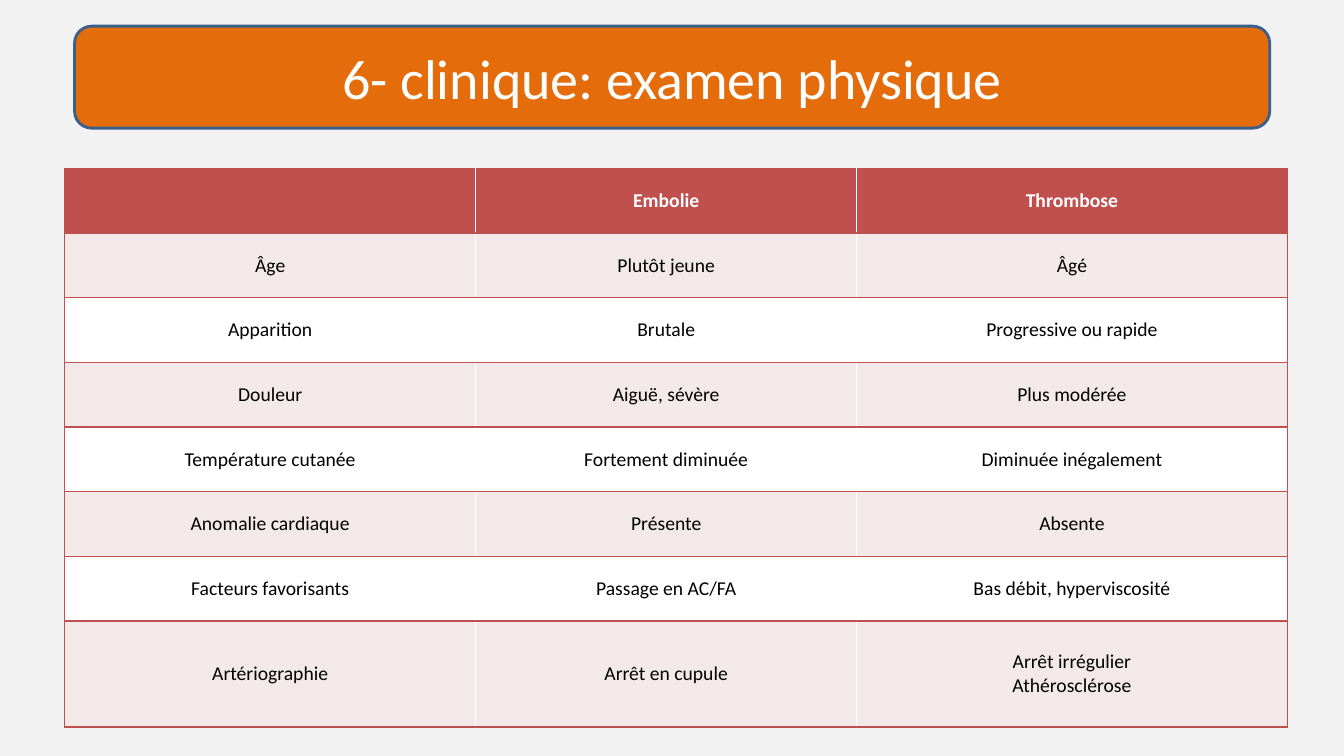
from typing import NamedTuple

from lxml.etree import SubElement
from pptx import Presentation
from pptx.dml.color import RGBColor
from pptx.enum.shapes import MSO_SHAPE as Preset
from pptx.enum.text import MSO_ANCHOR as Anchor, PP_ALIGN as Align
from pptx.oxml.ns import qn
from pptx.util import Cm, Pt

FONT = "Calibri"
BLACK, WHITE, GREY = "000000", "FFFFFF", "F2F2F2"
ORANGE, BLUE = "E46C0A", "3A5F8C"
RED, PINK = "C0504D", "F4E9E9"
SLIDE_WIDTH, SLIDE_HEIGHT = Cm(33.87), Cm(19.05)
COLUMN_WIDTHS = (10.36, 9.6, 10.85)
ROW_HEIGHT, LAST_ROW_HEIGHT = 1.63, 2.67


class Finding(NamedTuple):
    sign: str
    embolism: str
    thrombosis: str


FINDINGS = [
    Finding("", "Embolie", "Thrombose"),
    Finding("Âge", "Plutôt jeune", "Âgé"),
    Finding("Apparition", "Brutale", "Progressive ou rapide"),
    Finding("Douleur", "Aiguë, sévère", "Plus modérée"),
    Finding("Température cutanée", "Fortement diminuée", "Diminuée inégalement"),
    Finding("Anomalie cardiaque", "Présente", "Absente"),
    Finding("Facteurs favorisants", "Passage en AC/FA", "Bas débit, hyperviscosité"),
    Finding("Artériographie", "Arrêt en cupule", "Arrêt irrégulier\nAthérosclérose"),
]


def rgb(value: str) -> RGBColor:
    return RGBColor.from_string(value)


def style_text(text_frame, size: float, color: str, bold: bool = False) -> None:
    for paragraph in text_frame.paragraphs:
        paragraph.alignment = Align.CENTER
        font = paragraph.font
        font.name, font.size, font.bold = FONT, Pt(size), bold
        font.color.rgb = rgb(color)


def add_panel(slide, preset, left, top, width, height, fill: str):
    shape = slide.shapes.add_shape(preset, left, top, width, height)
    shape.shadow.inherit = False
    shape.fill.solid()
    shape.fill.fore_color.rgb = rgb(fill)
    shape.line.fill.background()
    return shape


def set_borders(cell, sides: str) -> None:
    """Draw the given sides, in the order L, R, T, B, ahead of the cell fill."""
    properties = cell._tc.get_or_add_tcPr()
    for position, side in enumerate(sides):
        line = SubElement(properties, qn(f"a:ln{side}"), w=str(Pt(1)))
        fill = SubElement(line, qn("a:solidFill"))
        SubElement(fill, qn("a:srgbClr"), val=RED)
        properties.insert(position, line)


def add_findings(slide) -> None:
    table = slide.shapes.add_table(
        len(FINDINGS), len(COLUMN_WIDTHS), Cm(1.63), Cm(4.24),
        Cm(sum(COLUMN_WIDTHS)),
        Cm(ROW_HEIGHT * (len(FINDINGS) - 1) + LAST_ROW_HEIGHT),
    ).table
    for column, width in zip(table.columns, COLUMN_WIDTHS):
        column.width = Cm(width)
    for row in table.rows:
        row.height = Cm(ROW_HEIGHT)
    table.rows[len(FINDINGS) - 1].height = Cm(LAST_ROW_HEIGHT)

    for row_index, finding in enumerate(FINDINGS):
        header = row_index == 0
        fill = RED if header else (WHITE, PINK)[row_index % 2]
        for column_index, (text, sides) in enumerate(zip(finding, ("LTB", "TB", "RTB"))):
            cell = table.cell(row_index, column_index)
            cell.text = text
            cell.vertical_anchor = Anchor.MIDDLE
            style_text(cell.text_frame, 14, WHITE if header else BLACK, header)
            cell.fill.solid()
            cell.fill.fore_color.rgb = rgb(fill)
            set_borders(cell, sides)


def main() -> None:
    presentation = Presentation()
    presentation.slide_width, presentation.slide_height = SLIDE_WIDTH, SLIDE_HEIGHT
    slide = presentation.slides.add_slide(presentation.slide_layouts[6])

    # Backdrop
    add_panel(slide, Preset.RECTANGLE, 0, 0, SLIDE_WIDTH, SLIDE_HEIGHT, GREY)

    # Title banner
    banner = add_panel(slide, Preset.ROUNDED_RECTANGLE,
                       Cm(1.88), Cm(0.66), Cm(30.12), Cm(2.57), ORANGE)
    banner.line.color.rgb = rgb(BLUE)
    banner.line.width = Pt(2)
    banner.text_frame.text = "6- clinique: examen physique"
    banner.text_frame.vertical_anchor = Anchor.MIDDLE
    style_text(banner.text_frame, 40, WHITE)

    # Comparison table
    add_findings(slide)

    presentation.save("out.pptx")


if __name__ == "__main__":
    main()
